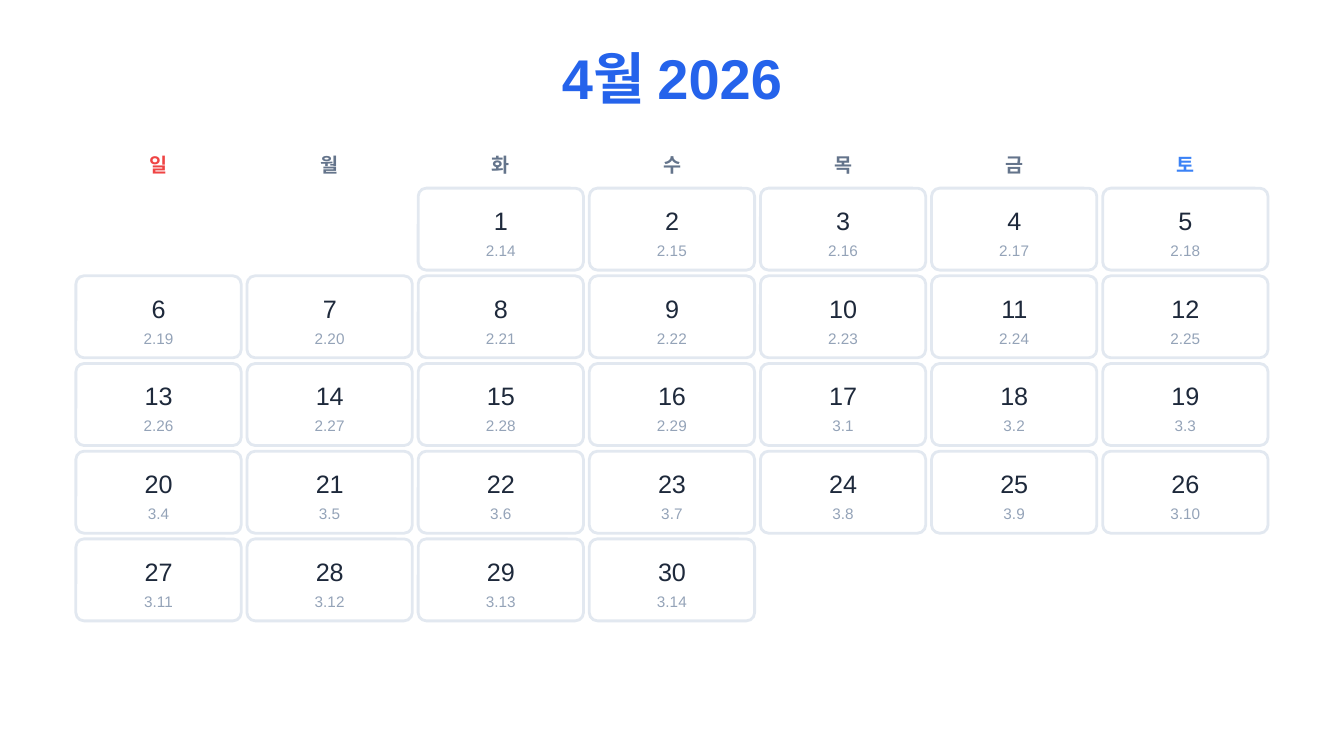
from pptx import Presentation
from pptx.dml.color import RGBColor
from pptx.enum.shapes import MSO_SHAPE
from pptx.enum.text import PP_ALIGN
from pptx.util import Inches, Pt

COLORS = {
    "background": "FFFFFF", "title": "2563EB", "sunday": "EF4444",
    "weekday": "64748B", "saturday": "3B82F6", "card": "FFFFFF",
    "border": "E2E8F0", "day": "1E293B", "lunar": "94A3B8",
}
# Font and paragraph values for each kind of text
FORMATS = {
    "title": {"font": {"size": Pt(30), "bold": True},
              "paragraph": {"line_spacing": Pt(33.3), "space_after": Pt(13.5)}},
    "weekday": {"font": {"size": Pt(10.5), "bold": True},
                "paragraph": {"line_spacing": Pt(14.7)}},
    "day": {"font": {"size": Pt(13.5)},
            "paragraph": {"line_spacing": Pt(18.9), "space_after": Pt(1.5)}},
    "lunar": {"font": {"size": Pt(8.25)},
              "paragraph": {"line_spacing": Pt(11.6)}},
}

# Month: the 1st falls on Tuesday and is lunar 2.14; lunar month 2 has 29 days
WEEKDAYS = "일월화수목금토"
FIRST_COLUMN, DAYS, WEEKS = 2, 30, 5
LUNAR_MONTH, LUNAR_START, LUNAR_LENGTH = 2, 14, 29

# Grid
FIRST_CENTER, LAST_CENTER = 1.18, 8.82
COLUMN_PITCH = (LAST_CENTER - FIRST_CENTER) / (len(WEEKDAYS) - 1)
FIRST_TOP, LAST_TOP = 1.4, 4.01
ROW_PITCH = (LAST_TOP - FIRST_TOP) / (WEEKS - 1)
CARD_WIDTH, CARD_HEIGHT = 1.23, 0.61


def lunar_date(day):
    months, offset = divmod(LUNAR_START + day - 2, LUNAR_LENGTH)
    return f"{LUNAR_MONTH + months}.{offset + 1}"


class CalendarSlide:
    font_name = "Arial"

    def __init__(self, presentation):
        self.slide = presentation.slides.add_slide(presentation.slide_layouts[6])
        background = self.slide.background.fill
        background.solid()
        background.fore_color.rgb = self.color("background")

    def color(self, name):
        return RGBColor.from_string(COLORS[name])

    def label(self, text, kind, center, top, width, height,
              color=None, inset=0, wrap=False):
        box = self.slide.shapes.add_textbox(
            Inches(center - width / 2), Inches(top), Inches(width), Inches(height))
        frame = box.text_frame
        frame.word_wrap = wrap
        for side in ("left", "top", "right", "bottom"):
            setattr(frame, f"margin_{side}", Inches(inset))
        paragraph = frame.paragraphs[0]
        paragraph.alignment = PP_ALIGN.CENTER
        run = paragraph.add_run()
        run.text = text
        run.font.name = self.font_name
        run.font.color.rgb = self.color(color or kind)
        for target, part in ((run.font, "font"), (paragraph, "paragraph")):
            for name, value in FORMATS[kind][part].items():
                setattr(target, name, value)

    def card(self, center, top):
        card = self.slide.shapes.add_shape(
            MSO_SHAPE.ROUNDED_RECTANGLE, Inches(center - CARD_WIDTH / 2),
            Inches(top), Inches(CARD_WIDTH), Inches(CARD_HEIGHT))
        card.adjustments[0] = 0.1
        card.shadow.inherit = False
        card.fill.solid()
        card.fill.fore_color.rgb = self.color("card")
        card.line.color.rgb = self.color("border")
        card.line.width = Pt(1.5)

    def date(self, day):
        row, column = divmod(FIRST_COLUMN + day - 1, len(WEEKDAYS))
        center = FIRST_CENTER + column * COLUMN_PITCH
        top = FIRST_TOP + row * ROW_PITCH
        lunar = lunar_date(day)
        self.card(center, top)
        self.label(str(day), "day", center, top + 0.09,
                   0.11 if day < 10 else 0.21, 0.26)
        self.label(lunar, "lunar", center, top + 0.37,
                   0.16 if len(lunar) == 3 else 0.23, 0.16)


def main():
    # Widescreen 16:9
    presentation = Presentation()
    presentation.slide_width = Inches(10)
    presentation.slide_height = Inches(10 * 9 / 16)
    calendar = CalendarSlide(presentation)

    # Title
    calendar.label("4월 2026", "title", 5, 0.36, 4.58, 0.46, wrap=True)

    # Weekday header
    weekend = {0: "sunday", 6: "saturday"}
    for column, weekday in enumerate(WEEKDAYS):
        calendar.label(weekday, "weekday", FIRST_CENTER + column * COLUMN_PITCH,
                       1.06, 1.26, 0.31, weekend.get(column), 0.05, wrap=True)

    # Dates
    for day in range(1, DAYS + 1):
        calendar.date(day)

    presentation.save("out.pptx")


if __name__ == "__main__":
    main()
